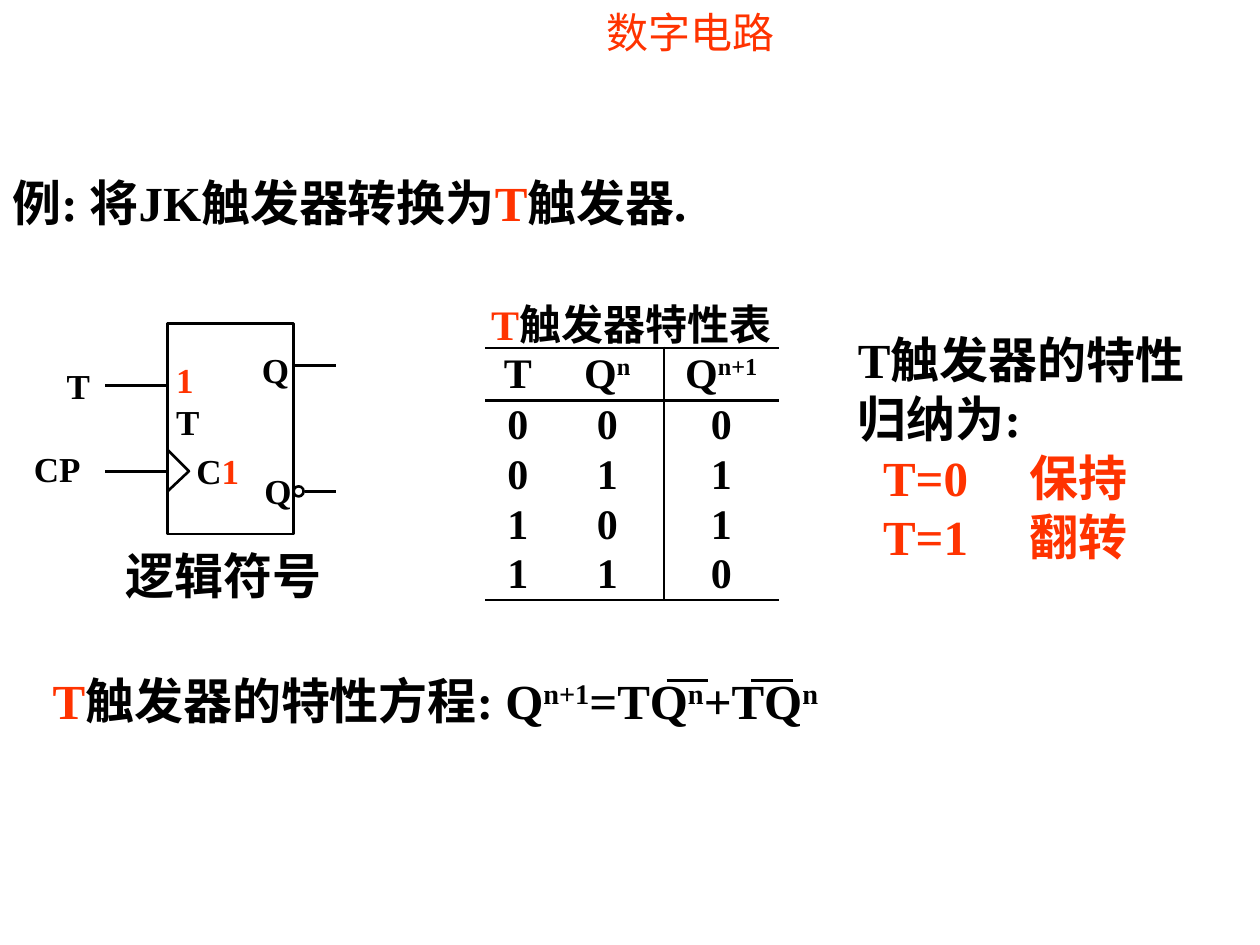
from lxml import etree
from pptx import Presentation
from pptx.dml.color import RGBColor
from pptx.enum import shapes, text
from pptx.oxml import ns
from pptx.util import Inches, Pt

THEME = {
    "ink": RGBColor(0, 0, 0), "accent": RGBColor(0xFF, 0x33, 0x00),
    "latin": "Times New Roman", "asian": "Noto Sans CJK SC",
    "large": 28, "medium": 24, "small": 20, "line": 1.5,
}

# Content: each paragraph is a list of (text, role) spans
INK, RED, SUP = "ink", "accent", "superscript"
TITLE = "数字电路"

# left, top, width, height, type size, paragraphs
LABELS = [
    (0, 1.32, 6.2, 0.57, "large",
     [[("例: 将JK触发器转换为", INK), ("T", RED), ("触发器.", INK)]]),
    (3.8, 2.32, 2.5, 0.5, "medium", [[("T", RED), ("触发器特性表", INK)]]),
    (1.3, 2.8, 0.52, 0.44, "small", [[("1", RED), ("T", INK)]]),
    (1.46, 3.52, 0.54, 0.44, "small", [[("C", INK), ("1", RED)]]),
    (1.98, 2.72, 0.41, 0.44, "small", [[("Q", INK)]]),
    (2, 3.68, 0.41, 0.44, "small", [[("Q", INK)]]),
    (0.43, 2.84, 0.38, 0.44, "small", [[("T", INK)]]),
    (0.17, 3.5, 0.57, 0.44, "small", [[("CP", INK)]]),
    (0.9, 4.28, 1.75, 0.57, "large", [[("逻辑符号", INK)]]),
    (6.71, 2.57, 2.88, 1.97, "large",
     [[("T触发器的特性", INK)], [("归纳为:", INK)],
      [("\tT=0\t保持", RED)], [("\tT=1\t翻转", RED)]]),
    (0.32, 5.27, 6.46, 0.57, "large",
     [[("T", RED), ("触发器的特性方程: Q", INK), ("n+1", SUP), ("=TQ", INK),
       ("n", SUP), ("+TQ", INK), ("n", SUP)]]),
]
NOTE_TABS = (0.2, 1.36)

TRUTH_HEAD = [[("T", INK)], [("Q", INK), ("n", SUP)], [("Q", INK), ("n+1", SUP)]]
TRUTH_ROWS = ["000", "011", "101", "110"]
TABLE_LEFT, TABLE_TOP = 3.85, 2.76
TABLE_COLUMNS = (0.52, 0.9, 0.91)
HEAD_HEIGHT, ROW_HEIGHT = 0.42, 0.395

# Flip-flop symbol
BODY = (1.33, 2.57, 1, 1.67)
BUBBLE = (2.33, 3.86, 0.08, 0.08)
CLOCK_WEDGE = [(1.33, 3.57), (1.5, 3.74), (1.33, 3.9)]
# Horizontal lines: start x, end x, y
PINS = [(1.33, 0.83, 3.06), (1.33, 0.83, 3.74), (2.33, 2.67, 2.9), (2.42, 2.67, 3.9)]
OVERBARS = [(5.29, 5.62, 5.4), (5.96, 6.29, 5.4)]


def add_tabs(para, stops):
    tab_list = etree.SubElement(para._p.get_or_add_pPr(), ns.qn("a:tabLst"))
    for stop in stops:
        etree.SubElement(tab_list, ns.qn("a:tab"), pos=str(Inches(stop)), algn="l")


def write_para(para, spans, size, bold=True, latin=THEME["latin"]):
    for words, role in spans:
        span = para.add_run()
        span.text = words
        formats = {"size": Pt(THEME[size]), "bold": bold, "name": latin}
        for name, value in formats.items():
            setattr(span.font, name, value)
        span.font.color.rgb = THEME[RED if role == RED else INK]
        props = span._r.get_or_add_rPr()
        etree.SubElement(props, ns.qn("a:ea"), typeface=THEME["asian"])
        if role == SUP:
            props.set("baseline", "30000")


def fill_frame(frame, paragraphs, size, **style):
    for name, value in {"word_wrap": False, "vertical_anchor": text.MSO_ANCHOR.TOP}.items():
        setattr(frame, name, value)
    for index, spans in enumerate(paragraphs):
        para = frame.add_paragraph() if index else frame.paragraphs[0]
        if any("\t" in words for words, _ in spans):
            add_tabs(para, NOTE_TABS)
        write_para(para, spans, size, **style)


def ink_line(item):
    item.line.color.rgb = THEME["ink"]
    item.line.width = Pt(THEME["line"])


def add_outline(shape):
    shape.shadow.inherit = False
    shape.fill.background()
    ink_line(shape)


def add_rule(page, start, end, y):
    rule = page.shapes.add_connector(
        shapes.MSO_CONNECTOR.STRAIGHT, *map(Inches, (start, y, end, y)))
    ink_line(rule)
    etree.SubElement(rule._element.spPr, ns.qn("a:effectLst"))


def set_borders(cell, drawn):
    props = cell._tc.get_or_add_tcPr()
    for position, side in enumerate(("lnL", "lnR", "lnT", "lnB")):
        border = etree.Element(ns.qn("a:" + side), w=str(Pt(THEME["line"])))
        props.insert(position, border)
        if side in drawn:
            fill = etree.SubElement(border, ns.qn("a:solidFill"))
            etree.SubElement(fill, ns.qn("a:srgbClr"), val=str(THEME["ink"]))
        else:
            etree.SubElement(border, ns.qn("a:noFill"))


def add_truth_table(page):
    rows = [TRUTH_HEAD] + [[[(bit, INK)] for bit in bits] for bits in TRUTH_ROWS]
    heights = [HEAD_HEIGHT] + [ROW_HEIGHT] * len(TRUTH_ROWS)
    table = page.shapes.add_table(
        len(rows), len(TABLE_COLUMNS), Inches(TABLE_LEFT), Inches(TABLE_TOP),
        Inches(sum(TABLE_COLUMNS)), Inches(sum(heights))).table
    table.first_row = table.horz_banding = False
    for column, width in zip(table.columns, TABLE_COLUMNS):
        column.width = Inches(width)
    for r, (row, height) in enumerate(zip(rows, heights)):
        table.rows[r].height = Inches(height)
        for c, spans in enumerate(row):
            cell = table.cell(r, c)
            for side in ("left", "right", "top", "bottom"):
                setattr(cell, "margin_" + side, 0)
            cell.vertical_anchor = text.MSO_ANCHOR.MIDDLE
            cell.fill.background()
            para = cell.text_frame.paragraphs[0]
            para.alignment = text.PP_ALIGN.CENTER
            write_para(para, spans, "medium")
            drawn = {"lnT"} if r < 2 else set()
            if r in (0, len(rows) - 1):
                drawn.add("lnB")
            if c > 0:
                drawn.add("lnR" if c == 1 else "lnL")
            set_borders(cell, drawn)


def main():
    deck = Presentation()
    deck.slide_width, deck.slide_height = Inches(10), Inches(7.5)
    page = deck.slides.add_slide(deck.slide_layouts[5])

    # Title
    title = page.shapes.title
    title.left, title.top, title.width, title.height = map(Inches, (4.06, 0, 2.84, 0.6))
    fill_frame(title.text_frame, [[(TITLE, RED)]], "medium",
               bold=False, latin=THEME["asian"])

    # Characteristic table
    add_truth_table(page)

    # Flip-flop symbol
    for kind, place in ((shapes.MSO_SHAPE.RECTANGLE, BODY), (shapes.MSO_SHAPE.OVAL, BUBBLE)):
        add_outline(page.shapes.add_shape(kind, *map(Inches, place)))
    first, *rest = [(Inches(x), Inches(y)) for x, y in CLOCK_WEDGE]
    wedge = page.shapes.build_freeform(*first)
    wedge.add_line_segments(rest, close=False)
    add_outline(wedge.convert_to_shape())

    # Pins and negation bars
    for rule in PINS + OVERBARS:
        add_rule(page, *rule)

    # Labels and notes
    for left, top, width, height, size, paragraphs in LABELS:
        box = page.shapes.add_textbox(*map(Inches, (left, top, width, height)))
        fill_frame(box.text_frame, paragraphs, size)

    deck.save("out.pptx")


if __name__ == "__main__":
    main()
